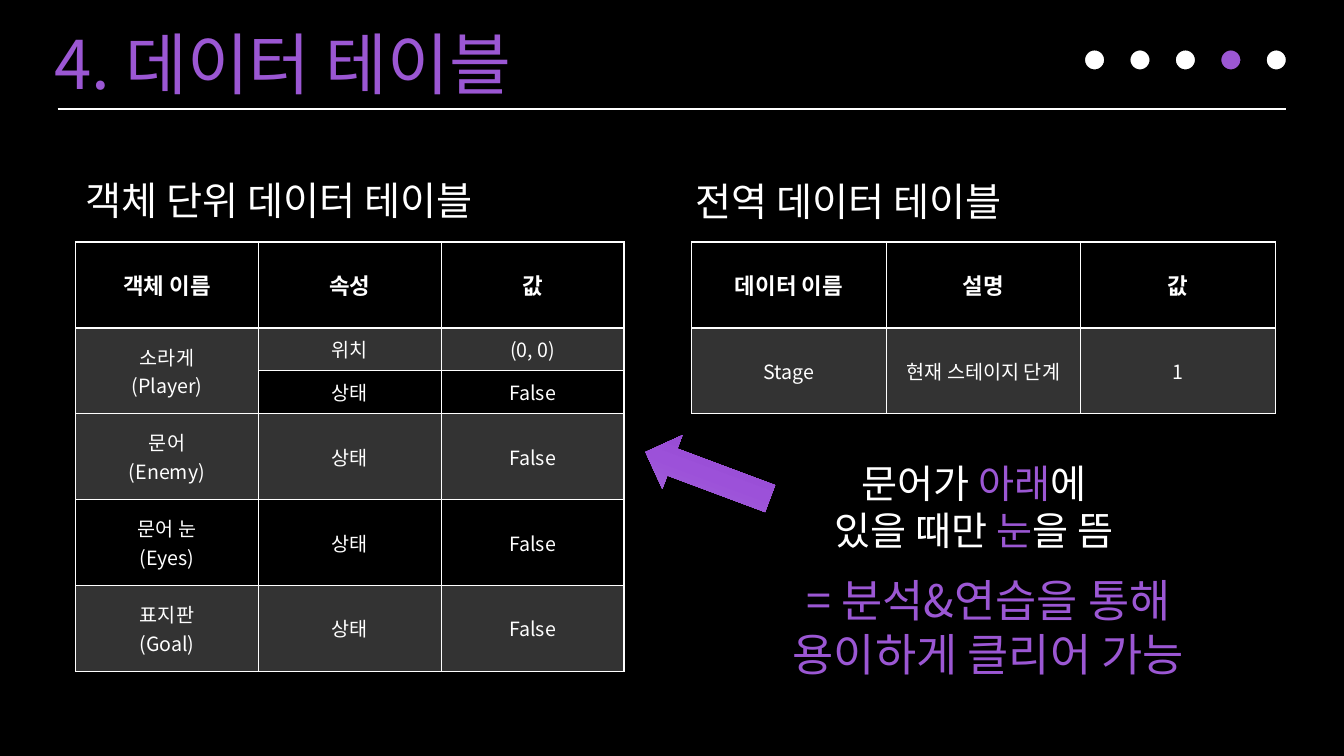
import dataclasses
import typing

import lxml.etree
import pptx
import pptx.dml.color
import pptx.enum.dml
import pptx.enum.shapes
import pptx.enum.text
import pptx.oxml
import pptx.oxml.ns
import pptx.util

FONT = "Noto Sans CJK KR"
WHITE, BLACK, PURPLE = "FFFFFF", "000000", "9B57D3"
DRAWING = 'xmlns:a="http://schemas.openxmlformats.org/drawingml/2006/main"'
SLIDE_WIDTH = pptx.util.Inches(13.33)
SLIDE_HEIGHT = pptx.util.Inches(7.5)
CENTER = pptx.enum.text.PP_ALIGN.CENTER
LEFT = pptx.enum.text.PP_ALIGN.LEFT
ROW_HEIGHT = 11.36


@dataclasses.dataclass
class Area:
    left: float
    top: float
    width: float
    height: float

    def lengths(self) -> tuple[int, int, int, int]:
        return columns(self.left), rows(self.top), columns(self.width), rows(self.height)


@dataclasses.dataclass
class Label:
    area: Area
    text: str
    size: int
    color: str = WHITE
    align: typing.Any = LEFT


@dataclasses.dataclass
class Row:
    cells: tuple[str, ...]
    height: float = ROW_HEIGHT
    shaded: bool = False


@dataclasses.dataclass
class DataTable:
    left: float
    top: float
    column_width: float
    rows: list[Row]
    merges: tuple[tuple[int, int, int, int], ...] = ()


LABELS = [
    Label(Area(3.3, 2.27, 82.3, 12.13), "4. 데이터 테이블", 48, PURPLE),
    Label(Area(5.63, 22.67, 37.96, 7.6), "객체 단위 데이터 테이블", 28),
    Label(Area(51.01, 22.8, 37.96, 7.6), "전역 데이터 테이블", 28),
    Label(Area(56.71, 60.13, 31.5, 13.87), "문어가 *아래*에\n있을 때만 *눈*을 뜸", 28, align=CENTER),
    Label(Area(55.51, 75.07, 36.08, 15.73), "= 분석&연습을 통해\n용이하게 클리어 가능", 32, PURPLE, CENTER),
]

TABLES = [
    DataTable(5.63, 32, 13.6, [
        Row(("객체 이름", "속성", "값")),
        Row(("소라게\n(Player)", "위치", "(0, 0)"), ROW_HEIGHT / 2, True),
        Row(("", "상태", "False"), ROW_HEIGHT / 2),
        Row(("문어\n(Enemy)", "상태", "False"), shaded=True),
        Row(("문어 눈\n(Eyes)", "상태", "False")),
        Row(("표지판\n(Goal)", "상태", "False"), shaded=True),
    ], ((1, 0, 2, 0),)),
    DataTable(51.46, 32, 14.48, [
        Row(("데이터 이름", "설명", "값")),
        Row(("Stage", "현재 스테이지 단계", "1"), shaded=True),
    ]),
]


def columns(share: float) -> int:
    return round(SLIDE_WIDTH * share / 100)


def rows(share: float) -> int:
    return round(SLIDE_HEIGHT * share / 100)


def rgb(color: str) -> pptx.dml.color.RGBColor:
    return pptx.dml.color.RGBColor.from_string(color)


def write_text(frame, text: str, *, size: int, color: str = WHITE,
               align=LEFT, bold: bool = False) -> None:
    for index, line in enumerate(text.split("\n")):
        para = frame.add_paragraph() if index else frame.paragraphs[0]
        para.alignment = align
        for position, part in enumerate(line.split("*")):
            span = para.add_run()
            span.text = part
            span.font.name = FONT
            span.font.size = pptx.util.Pt(size)
            span.font.bold = bold
            span.font.color.rgb = rgb(PURPLE if position % 2 else color)
            east_asian = pptx.oxml.parse_xml(f'<a:ea {DRAWING} typeface="{FONT}"/>')
            span.font._element.find(pptx.oxml.ns.qn("a:latin")).addnext(east_asian)


def add_label(page, label: Label) -> None:
    box = page.shapes.add_textbox(*label.area.lengths())
    frame = box.text_frame
    frame.word_wrap = True
    frame.auto_size = pptx.enum.text.MSO_AUTO_SIZE.SHAPE_TO_FIT_TEXT
    write_text(frame, label.text, size=label.size, color=label.color, align=label.align)


def style_cell(cell, shaded: bool, header: bool) -> None:
    cell.vertical_anchor = pptx.enum.text.MSO_ANCHOR.MIDDLE
    properties = cell._tc.get_or_add_tcPr()
    for side in "LRTB":
        width = pptx.util.Pt(2 if header and side == "B" else 1)
        properties.append(pptx.oxml.parse_xml(
            f'<a:ln{side} {DRAWING} w="{width}"><a:solidFill>'
            f'<a:srgbClr val="{WHITE}"/></a:solidFill></a:ln{side}>'))
    if not shaded:
        cell.fill.background()
        return
    cell.fill.solid()
    cell.fill.fore_color.rgb = rgb(WHITE)
    tint = properties.find(pptx.oxml.ns.qn("a:solidFill"))[0]
    lxml.etree.SubElement(tint, pptx.oxml.ns.qn("a:alpha"), val="20000")


def add_data_table(page, data: DataTable) -> None:
    column_count = len(data.rows[0].cells)
    area = Area(data.left, data.top, data.column_width * column_count,
                sum(row.height for row in data.rows))
    table = page.shapes.add_table(len(data.rows), column_count, *area.lengths()).table
    table.horz_banding = False
    for column in table.columns:
        column.width = columns(data.column_width)
    for row_index, row in enumerate(data.rows):
        table.rows[row_index].height = rows(row.height)
        header = row_index == 0
        for column_index, text in enumerate(row.cells):
            cell = table.cell(row_index, column_index)
            style_cell(cell, row.shaded, header)
            if text:
                write_text(cell.text_frame, text, size=16 if header else 14,
                           align=CENTER, bold=header)
    for top, left, bottom, right in data.merges:
        table.cell(top, left).merge(table.cell(bottom, right))


def add_rule(page) -> None:
    rule = page.shapes.add_connector(
        pptx.enum.shapes.MSO_CONNECTOR.STRAIGHT,
        columns(4.28), rows(14.4), columns(95.72), rows(14.4))
    rule.line.color.rgb = rgb(WHITE)
    rule.line.width = pptx.util.Pt(1.5)
    lxml.etree.SubElement(rule._element.spPr, pptx.oxml.ns.qn("a:effectLst"))


def add_progress_dots(page, count: int, current: int) -> None:
    for index in range(count):
        area = Area(80.65 + 3.38 * index, 6.53, 1.58, 2.8)
        dot = page.shapes.add_shape(pptx.enum.shapes.MSO_SHAPE.OVAL, *area.lengths())
        dot.shadow.inherit = False
        dot.fill.solid()
        dot.fill.fore_color.rgb = rgb(PURPLE if index == current else WHITE)
        dot.line.color.rgb = rgb(BLACK)
        dot.line.width = pptx.util.Pt(1.5)


def add_arrow(page) -> None:
    arrow = page.shapes.add_shape(pptx.enum.shapes.MSO_SHAPE.RIGHT_ARROW,
                                  *Area(47.71, 59.07, 9.9, 7.6).lengths())
    arrow.rotation = 200.5
    arrow.shadow.inherit = False
    arrow.line.fill.background()
    stops = "".join(f'<a:gs pos="{place * 1000}"><a:srgbClr val="{color}"/></a:gs>'
                    for place, color in ((0, "A66ED9"), (50, "9C51D9"), (100, "8B41C8")))
    gradient = pptx.oxml.parse_xml(
        f'<a:gradFill {DRAWING} rotWithShape="1"><a:gsLst>{stops}</a:gsLst>'
        '<a:lin ang="5400000" scaled="0"/></a:gradFill>')
    arrow._element.spPr.find(pptx.oxml.ns.qn("a:prstGeom")).addnext(gradient)


def main() -> None:
    deck = pptx.Presentation()
    deck.slide_width, deck.slide_height = SLIDE_WIDTH, SLIDE_HEIGHT
    page = deck.slides.add_slide(deck.slide_layouts[6])
    page.background.fill.solid()
    page.background.fill.fore_color.rgb = rgb(BLACK)
    add_rule(page)
    add_progress_dots(page, count=5, current=3)
    for data in TABLES:
        add_data_table(page, data)
    for label in LABELS:
        add_label(page, label)
    add_arrow(page)
    deck.save("out.pptx")


if __name__ == "__main__":
    main()
